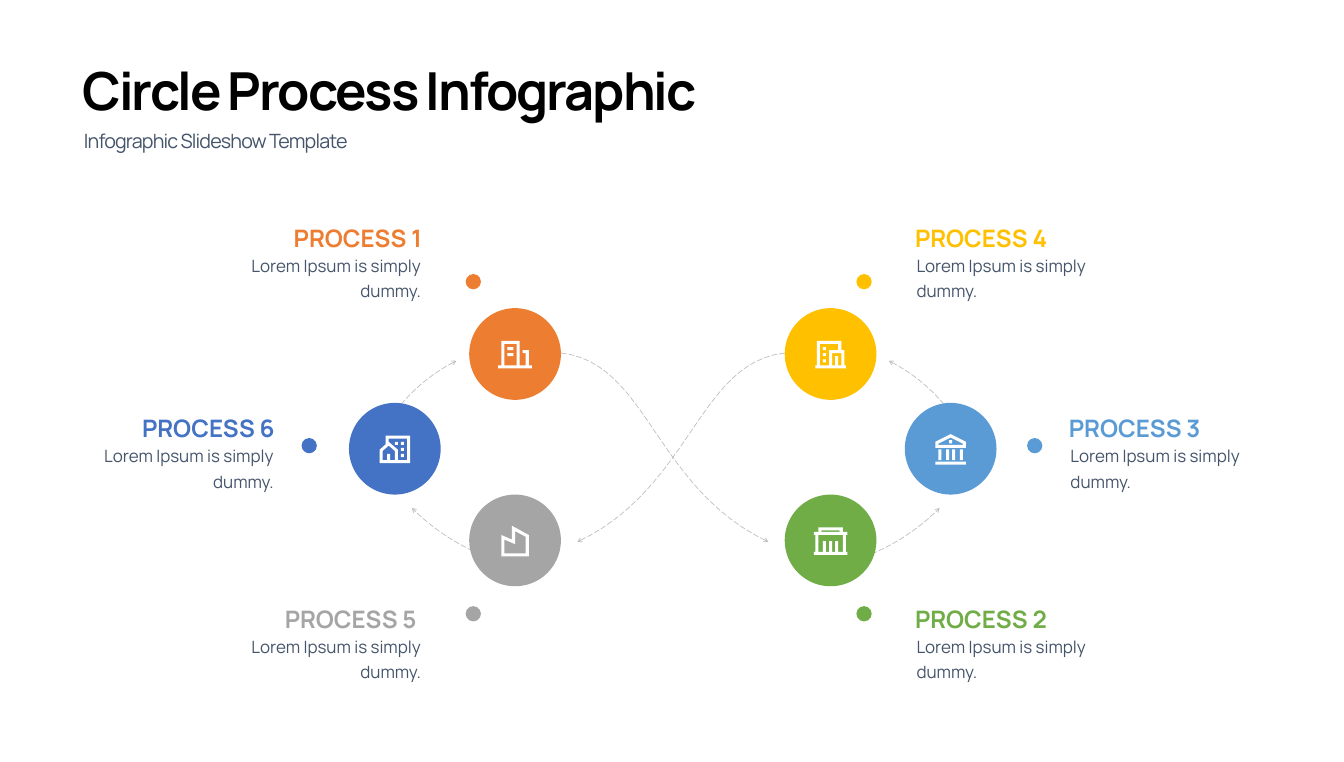
from dataclasses import dataclass

from lxml.etree import SubElement
from pptx import Presentation
from pptx.dml.color import RGBColor
from pptx.enum.dml import MSO_LINE
from pptx.enum.shapes import MSO_SHAPE
from pptx.enum.text import PP_ALIGN as ALIGN
from pptx.oxml.ns import qn
from pptx.util import Pt


@dataclass(frozen=True)
class Theme:
    font: str = "Manrope"
    title: str = "000000"
    body: str = "44546A"
    arrow: str = "BFBFBF"
    icon: str = "FFFFFF"
    orange: str = "ED7D31"
    green: str = "70AD47"
    sky: str = "5B9BD5"
    yellow: str = "FFC000"
    gray: str = "A5A5A5"
    blue: str = "4472C4"
    title_size: float = 74
    subtitle_size: float = 27.8
    heading_size: float = 34
    body_size: float = 24


theme = Theme()
presentation = Presentation()
presentation.slide_width = Pt(1899.36)
presentation.slide_height = Pt(1077.12)
slide = presentation.slides.add_slide(presentation.slide_layouts[6])


def add_text(text, *, box, size, color, bold=False, align=ALIGN.LEFT,
             inset=7.2, leading=None, after=0, spacing=0):
    shape = slide.shapes.add_textbox(*map(Pt, box))
    frame = shape.text_frame
    frame.word_wrap = True
    frame.margin_left = frame.margin_right = Pt(inset)
    frame.margin_top = frame.margin_bottom = Pt(inset / 2)
    paragraph = frame.paragraphs[0]
    paragraph.alignment = align
    paragraph.space_after = Pt(after)
    if leading:
        paragraph.line_spacing = Pt(leading)
    run = paragraph.add_run()
    run.text = text
    run.font.name = theme.font
    run.font.size = Pt(size)
    run.font.bold = bold
    run.font.color.rgb = RGBColor.from_string(color)
    if spacing:
        run._r.get_or_add_rPr().set("spc", str(round(spacing * 100)))


def add_outline(contours, *, left=0, top=0, unit=1, closed=True):
    builder = None
    for contour in contours:
        points = [(Pt(left + x * unit), Pt(top + y * unit)) for x, y in contour]
        if builder is None:
            builder = slide.shapes.build_freeform(*points[0], scale=1.0)
        else:
            builder.move_to(*points[0])
        builder.add_line_segments(points[1:], close=closed)
    shape = builder.convert_to_shape()
    shape.shadow.inherit = False
    return shape


add_text("Circle Process Infographic", box=(109.4, 73.4, 1457.3, 99.4),
         size=theme.title_size, color=theme.title, bold=True, leading=94, spacing=-2.9)
add_text("Infographic Slideshow Template", box=(111.6, 170.6, 1385.3, 46.8),
         size=theme.subtitle_size, color=theme.body, leading=42, spacing=-1.2)

arrow_pairs = [
    (1902, [(793, 499), (915, 512), (925, 690), (1086, 766)]),
    (1901, [(1341, 580), (1322, 556), (1296, 530), (1256, 510)]),
    (1910, [(1232, 783), (1267, 768), (1299, 747), (1328, 718)]),
]
curve_steps = 24
for mirror_sum, controls in arrow_pairs:
    mirrored = [(mirror_sum - x, y) for x, y in controls]
    for (x0, y0), (x1, y1), (x2, y2), (x3, y3) in (controls, mirrored):
        points = []
        for step in range(curve_steps + 1):
            t = step / curve_steps
            s = 1 - t
            a, b, c, d = s ** 3, 3 * s * s * t, 3 * s * t * t, t ** 3
            points.append((a * x0 + b * x1 + c * x2 + d * x3, a * y0 + b * y1 + c * y2 + d * y3))
        arrow = add_outline([points], closed=False)
        arrow.fill.background()
        arrow.line.color.rgb = RGBColor.from_string(theme.arrow)
        arrow.line.width = Pt(1)
        arrow.line.dash_style = MSO_LINE.LONG_DASH
        SubElement(arrow.line._get_or_add_ln(), qn("a:tailEnd"), type="arrow")

tower_bars = [(0, 16, 20, 2), (1, 0, 2, 16), (3, 0, 14, 2), (15, 2, 2, 4), (9, 6, 10, 2),
              (9, 8, 2, 8), (13, 10, 2, 6), (17, 8, 2, 8)]
tower_bars += [(5, y, 2, 2) for y in (4, 8, 12)]

bank_roof = [[(0, 5), (10, 0), (20, 5), (20, 9), (0, 9)],
             [(2, 6.2), (2, 7), (18, 7), (18, 6.2), (10, 2.2)]]
bank_bars = [(0, 18, 20, 2), (9, 4, 2, 2)] + [(x, 10, 2, 7) for x in (2, 7, 11, 16)]

hall_bars = [(0, 16, 22, 2), (0, 3, 22, 2), (3, 0, 16, 2)]
hall_bars += [(x, 2, 2, 1) for x in (3, 17)] + [(x, 5, 2, 11) for x in (1, 19)]
hall_bars += [(x, 9, 2, 7) for x in (6, 10, 14)]

factory_walls = [[(7, 9), (7, 0), (18, 6), (18, 20), (0, 20), (0, 6)],
                 [(9, 3.4), (9, 12), (2, 9), (2, 18), (16, 18), (16, 7.2)]]

office_bars = [(0, 16, 22, 2), (4, 0, 8, 2), (16, 6, 4, 2), (18, 8, 2, 8)]
office_bars += [(x, 0, 2, 16) for x in (2, 12)] + [(6, y, 4, 2) for y in (4, 8)]

home_walls = [[(0, 9.2), (4, 5.7), (4, 0), (20, 0), (20, 18), (0, 18)],
              [(2, 16), (2, 10), (6, 6.5), (10, 10), (10, 16)],
              [(12, 16), (18, 16), (18, 2), (6, 2), (6, 4), (12, 9.2)]]
home_bars = [(5, 12, 2, 4), (10, 4, 2, 2)] + [(14, y, 2, 2) for y in (4, 8, 12)]

columns = {
    "outer left": (180, 426.2, 493.2),
    "inner left": (388.1, 658.1, 663.1),
    "inner right": (1278.7, 1210.3, 1109),
    "outer right": (1496.2, 1451.5, 1278.7),
}
rows = [(435.6, 387.4), (569.5, 619.2), (699.1, 856.8)]
stages = [
    (4, theme.yellow, "inner right", 0, [], tower_bars),
    (3, theme.sky, "outer right", 1, bank_roof, bank_bars),
    (2, theme.green, "inner right", 2, [], hall_bars),
    (5, theme.gray, "inner left", 2, factory_walls, []),
    (1, theme.orange, "inner left", 0, [], office_bars),
    (6, theme.blue, "outer left", 1, home_walls, home_bars),
]
circle_size, dot_size, icon_unit = 129.6, 21.6, 2.16
for number, color, column, row, outlines, bars in stages:
    heading_left, dot_left, circle_left = columns[column]
    circle_top, dot_top = rows[row]
    for left, top, diameter in ((circle_left, circle_top, circle_size),
                                (dot_left, dot_top, dot_size)):
        disc = slide.shapes.add_shape(MSO_SHAPE.OVAL, Pt(left), Pt(top), Pt(diameter), Pt(diameter))
        disc.shadow.inherit = False
        disc.fill.solid()
        disc.fill.fore_color.rgb = RGBColor.from_string(color)
        disc.line.fill.background()

    on_right = column.endswith("right")
    side_align = ALIGN.LEFT if on_right else ALIGN.RIGHT
    heading_top = 308.2 + 269.25 * row
    body_left = heading_left + (2.2 if on_right else -91.4)
    add_text(f"PROCESS {number}", box=(heading_left, heading_top, 229 if on_right else 222.5, 100.8),
             size=theme.heading_size, color=color, bold=True, inset=14.4,
             align=ALIGN.LEFT if number == 5 else side_align)
    add_text("Lorem Ipsum is simply dummy.", box=(body_left, heading_top + 38.4, 312.5, 83.5),
             size=theme.body_size, color=theme.body, inset=14.4, leading=36, after=23.7,
             align=side_align)

    contours = outlines + [[(x, y), (x + w, y), (x + w, y + h), (x, y + h)] for x, y, w, h in bars]
    icon_width, icon_height = (max(point[axis] for contour in contours for point in contour)
                               for axis in (0, 1))
    icon = add_outline(contours, unit=icon_unit,
                       left=circle_left + (circle_size - icon_width * icon_unit) / 2,
                       top=circle_top + (circle_size - icon_height * icon_unit) / 2 + 1)
    icon.fill.solid()
    icon.fill.fore_color.rgb = RGBColor.from_string(theme.icon)
    icon.line.fill.background()

presentation.save("out.pptx")
